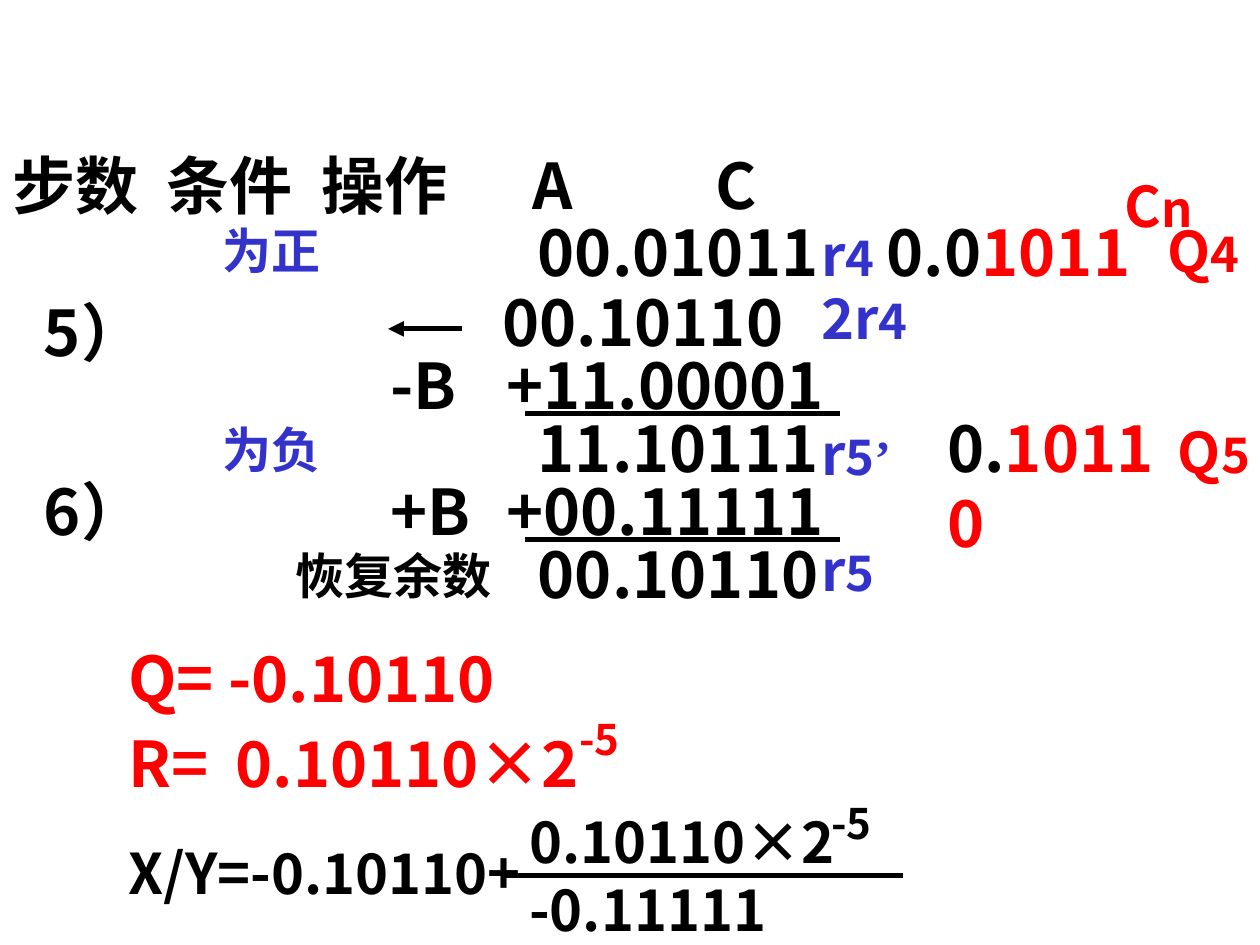
from dataclasses import dataclass
from lxml.etree import SubElement
from pptx import Presentation
from pptx.dml.color import RGBColor
from pptx.enum.shapes import MSO_CONNECTOR
from pptx.enum.text import MSO_ANCHOR, MSO_AUTO_SIZE
from pptx.oxml.ns import qn
from pptx.util import Emu, Inches, Pt


@dataclass(frozen=True)
class Theme:
    font: str = "Noto Sans CJK SC"
    serif: str = "Times New Roman"
    ink: str = "000000"
    red: str = "FF0000"
    blue: str = "3333CC"
    big: int = 36
    mid: int = 32
    small: int = 28
    tiny: int = 24
    rule: int = 3


T = Theme()
HIGH = {T.big: 0.7, T.mid: 0.64, T.small: 0.57, T.tiny: 0.5}

# Columns of the worked division, in inches
COL = dict(step=0.25, cond=1.67, back=2.25, op=3, shift=3.67, sign=3.92,
           acc=4.17, rem=6.42, quo=7.42, low=0.92, frac=4)
TOP, STEP = 1.7, 0.5


def row(n):
    return TOP + n * STEP


def ink(text, size=T.big):
    return text, size, T.ink, T.font


def red(text, size=T.big):
    return text, size, T.red, T.font


def blue(text, size=T.small):
    return text, size, T.blue, T.font


# Single-line boxes: column, top, width, runs
WORK = [
    ("step", row(1) + 0.08, 1.17, [ink("5）")]),
    ("step", row(4), 1.17, [ink("6）")]),
    ("cond", row(0), 1, [blue("为正")]),
    ("cond", row(3) + 0.08, 1.08, [blue("为负")]),
    ("back", row(5) + 0.08, 1.92, [ink("恢复余数", T.small)]),
    ("op", row(2), 1.17, [ink("-B")]),
    ("op", row(4), 1, [ink("+B")]),
    ("sign", row(2), 2.83, [ink("+11.00001")]),
    ("acc", row(3), 2.5, [ink("11.10111")]),
    ("sign", row(4), 3.42, [ink("+00.11111")]),
    ("acc", row(5), 2.67, [ink("00.10110")]),
    ("rem", row(0), 0.92, [blue("r", T.mid), blue("4")]),
    ("rem", row(1), 0.92, [blue("2r", T.mid), blue("4")]),
    ("rem", row(3) + 0.08, 0.92,
     [blue("r", T.mid), blue("5"), ("’", T.small, T.blue, T.serif)]),
    ("rem", row(5), 0.92, [blue("r", T.mid), blue("5")]),
    ("quo", row(3), 2.08, [ink("0."), red("10110")]),
    ("low", 5.03, 3.83, [red("Q= -0.10110")]),
]

# Boxes with tab stops or tight lines: place, runs, tabs, line spacing
SET = [
    ((0, 1.28, 9.58, 0.52), [ink("步数\t条件\t操作\tA\tC")],
     (1.22, 2.45, 4.13, 5.58), 0.7),
    ((COL["acc"], 1.86, 5.83, 0.46),
     [ink("00.01011\t0.0"), red("1011")], (2.77,), 0.6),
    ((COL["shift"], row(1), 3.33, 0.7), [ink("\t00.10110")], (0.22,), None),
    ((8.83, 1.31, 0.92, 0.64), [red("C", T.mid), red("n", T.small)], (), None),
    ((9.17, 1.86, 0.83, 0.74), [red("Q", T.mid), red("4", T.small)], (), 0.6),
    ((9.25, 3.45, 1.58, 0.42), [red("Q", T.mid), red("5", T.small)], (), 0.6),
]

# Grouped results: boxes as in SET, then rules
REST = [
    ((COL["low"], 5.7, 4.5, 0.7), [red("R=\t0.10110×2")], (0.85,), None),
    ((4.5, 5.61, 0.67, 0.5), [red("-5", T.tiny)], (), None),
]
RATIO = [
    ((COL["low"], 6.61, 3.5, 0.64), [ink("X/Y=-0.10110+", T.mid)], (), None),
    ((COL["frac"], 6.36, 2.92, 0.64), [ink(" 0.10110×2", T.mid)], (), None),
    ((6.5, 6.28, 0.67, 0.5), [ink("-5", T.tiny)], (), None),
    ((COL["frac"], 6.9, 2.92, 0.64), [ink(" -0.11111", T.mid)], (), None),
]
# Lines: left, right, height on the slide, arrowhead
SUMS = [(4.17, 6.67, 3.28, False), (4.17, 6.67, 4.28, False),
        (3.08, 3.67, 2.61, True)]
BAR = [(4, 7.17, 6.95, False)]


def write(shapes, place, runs, tabs=(), space=None):
    box = shapes.add_textbox(*map(Inches, place))
    frame = box.text_frame
    frame.word_wrap = True
    frame.auto_size = MSO_AUTO_SIZE.SHAPE_TO_FIT_TEXT
    frame.vertical_anchor = MSO_ANCHOR.TOP
    para = frame.paragraphs[0]
    if space:
        para.line_spacing = space
    if tabs:
        stops = SubElement(para._p.get_or_add_pPr(), qn("a:tabLst"))
        for tab in tabs:
            SubElement(stops, qn("a:tab"), pos=str(Inches(tab)), algn="l")
    for text, size, color, face in runs:
        run = para.add_run()
        run.text = text
        font = run.font
        font.size, font.bold, font.name = Pt(size), True, face
        font.color.rgb = RGBColor.from_string(color)
        SubElement(run._r.get_or_add_rPr(), qn("a:ea"), typeface=face)


def rule(shapes, left, right, y, arrow):
    line = shapes.add_connector(MSO_CONNECTOR.STRAIGHT, Inches(left),
                                Inches(y), Inches(right), Inches(y))
    line.line.width = Pt(T.rule)
    line.line.color.rgb = RGBColor.from_string(T.ink)
    if arrow:
        SubElement(line.line._get_or_add_ln(), qn("a:headEnd"),
                   type="triangle")
    SubElement(line._element.spPr, qn("a:effectLst"))


def fill(shapes, boxes, lines=()):
    for box in boxes:
        write(shapes, *box)
    for line in lines:
        rule(shapes, *line)


def main():
    deck = Presentation()
    deck.slide_width, deck.slide_height = Inches(10), Inches(7.5)
    shapes = deck.slides.add_slide(deck.slide_layouts[6]).shapes
    fill(shapes, SET, SUMS)
    for col, top, wide, runs in WORK:
        write(shapes, (COL[col], top, wide, HIGH[runs[0][1]]), runs)
    fill(shapes.add_group_shape().shapes, REST)
    fill(shapes.add_group_shape().shapes, RATIO, BAR)
    deck.save("out.pptx")


if __name__ == "__main__":
    main()
